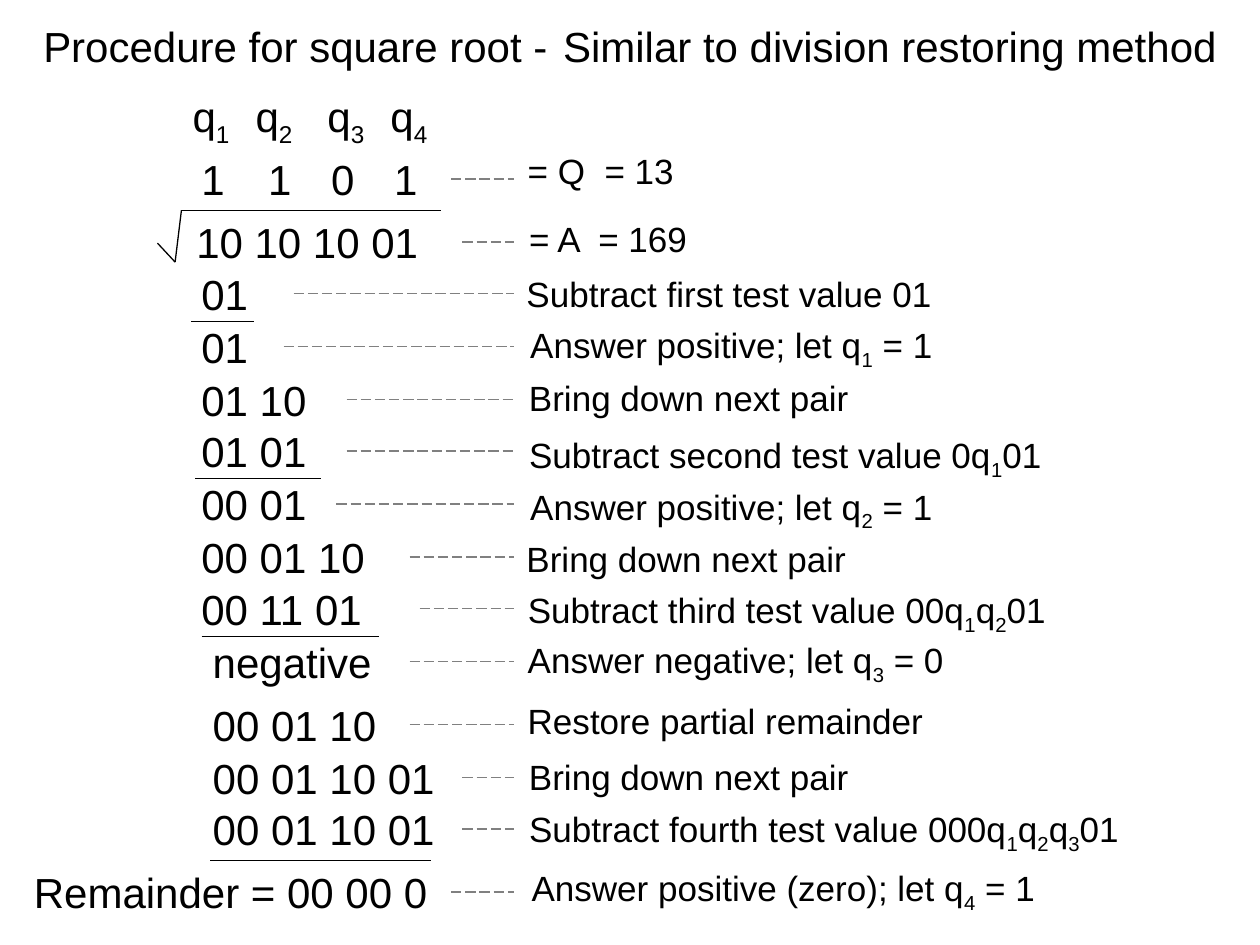
from itertools import pairwise

from lxml import etree
from pptx import Presentation
from pptx import util as u
from pptx.dml.color import RGBColor
from pptx.enum import dml, shapes, text
from pptx.oxml.ns import qn

LEADER_END = 4.08


def colour(value):
    return RGBColor.from_string(value)


def add_span(para, words, size=24, ink="000000", font="Arial", subscript=False):
    span = para.add_run()
    span.text = words
    span.font.size = u.Pt(size)
    span.font.name = font
    span.font.color.rgb = colour(ink)
    if subscript:
        span.font._element.set("baseline", "-25000")


def add_marked_text(para, words, **style):
    """Write words in which an underscore lowers the next character."""
    head, *rest = words.split("_")
    add_span(para, head, **style)
    for part in rest:
        add_span(para, part[0], subscript=True, **style)
        if part[1:]:
            add_span(para, part[1:], **style)


def add_tab_stop(para, position):
    stops = etree.SubElement(para._p.get_or_add_pPr(), qn("a:tabLst"))
    etree.SubElement(stops, qn("a:tab"), pos=str(u.Inches(position)), algn="l")


class Board:
    ink = "000000"
    leader_ink = "808080"
    number_size = 24
    note_size = 20

    def __init__(self, page):
        self.page = page

    def title(self, spans):
        box = self.page.shapes.add_textbox(
            u.Inches(0), u.Inches(-0.03), u.Inches(10), u.Inches(0.7))
        frame = box.text_frame
        frame.word_wrap = True
        frame.vertical_anchor = text.MSO_ANCHOR.MIDDLE
        para = frame.paragraphs[0]
        para.alignment = text.PP_ALIGN.CENTER
        for words, size in spans:
            add_span(para, words, size=size, ink=self.ink)

    def label(self, words, left, top, width, size, tab=None):
        height = {24: 0.5, 20: 0.44}[size]
        if "_" in words:
            height = {24: 0.56, 20: 0.48}[size]
        box = self.page.shapes.add_textbox(
            u.Inches(left), u.Inches(top), u.Inches(width), u.Inches(height))
        frame = box.text_frame
        frame.word_wrap = False
        frame.auto_size = text.MSO_AUTO_SIZE.SHAPE_TO_FIT_TEXT
        para = frame.paragraphs[0]
        if tab:
            add_tab_stop(para, tab)
        add_marked_text(para, words, size=size, ink=self.ink)

    def number(self, words, left, top, width):
        self.label(words, left, top, width, self.number_size)

    def note(self, words, left, top, width, tab=None):
        self.label(words, left, top, width, self.note_size, tab)

    def line(self, start, end, ink=None, dash=None, parent=None):
        holder = parent or self.page
        rule = holder.shapes.add_connector(
            shapes.MSO_CONNECTOR.STRAIGHT,
            *(u.Inches(value) for value in (*start, *end)))
        rule.line.color.rgb = colour(ink or self.ink)
        rule.line.width = u.Pt(0.75)
        if dash:
            rule.line.dash_style = dash
        etree.SubElement(rule._element.spPr, qn("a:effectLst"))

    def leader(self, left, y):
        self.line((left, y), (LEADER_END, y), self.leader_ink,
                  dml.MSO_LINE.LONG_DASH)

    def root_sign(self, points):
        group = self.page.shapes.add_group_shape()
        for start, end in pairwise(points):
            self.line(start, end, parent=group)


# Quotient digits: name, name left, digit, digit left
QUOTIENT = [
    ("q_1", 1.43, "1", 1.5),
    ("q_2", 1.93, "1", 2.03),
    ("q_3", 2.5, "0", 2.53),
    ("q_4", 3, "1", 3.03),
]

# Working steps: number, left, top, width, leader left
NUMBERS = [
    ("10 10 10 01", 1.46, 1.67, 1.96, 3.67),
    ("01", 1.5, 2.08, 0.57, 2.33),
    ("01", 1.5, 2.5, 0.57, 2.25),
    ("01 10", 1.5, 2.92, 1.05, 2.75),
    ("01 01", 1.5, 3.33, 1.05, 2.75),
    ("00 01", 1.5, 3.75, 1.05, 2.67),
    ("00 01 10", 1.5, 4.17, 1.5, 3.25),
    ("00 11 01", 1.5, 4.58, 1.5, 3.33),
    ("negative", 1.59, 5, 1.46, 3.25),
    ("00 01 10", 1.59, 5.5, 1.5, 3.25),
    ("00 01 10 01", 1.59, 5.92, 1.96, 3.67),
    ("00 01 10 01", 1.59, 6.33, 1.96, 3.67),
    ("Remainder = 00 00 0", 0.17, 6.83, 3.32, 3.58),
]

# Explanations: words, left, top, width, optional tab stop
NOTES = [
    ("= Q\t= 13", 4.09, 1.14, 1.36, 0.61),
    ("= A\t= 169", 4.1, 1.68, 1.48, 0.55),
    ("Subtract first test value 01", 4.08, 2.11, 3.42),
    ("Answer positive; let q_1 = 1", 4.11, 2.52, 3.39),
    ("Bring down next pair", 4.1, 2.94, 2.74),
    ("Subtract second test value 0q_101", 4.1, 3.39, 4.28),
    ("Answer positive; let q_2 = 1", 4.11, 3.8, 3.39),
    ("Bring down next pair", 4.08, 4.22, 2.74),
    ("Subtract third test value 00q_1q_201", 4.09, 4.62, 4.31),
    ("Answer negative; let q_3 = 0", 4.09, 5.02, 3.5),
    ("Restore partial remainder", 4.09, 5.5, 3.34),
    ("Bring down next pair", 4.1, 5.95, 2.74),
    ("Subtract fourth test value 000q_1q_2q_301", 4.1, 6.36, 4.88),
    ("Answer positive (zero); let q_4 = 1", 4.12, 6.83, 4.21),
]

# Subtraction rules: left, right, y
RULES = [(1.52, 2.02, 2.55), (1.55, 2.55, 3.8), (1.6, 3.01, 5.05),
         (1.67, 3.42, 6.83)]


def main():
    deck = Presentation()
    deck.slide_width, deck.slide_height = u.Inches(10), u.Inches(7.5)
    board = Board(deck.slides.add_slide(deck.slide_layouts[6]))

    # Heading
    board.title([("Procedure for square root -", 24), (" ", 32),
                 ("Similar to division restoring method", 24)])

    # Root sign and quotient above it
    board.root_sign([(1.25, 1.93), (1.39, 2.08), (1.44, 1.67), (3.5, 1.67)])
    for name, name_left, digit, digit_left in QUOTIENT:
        board.number(name, name_left, 0.67, 0.49)
        board.number(digit, digit_left, 1.17, 0.38)
    board.leader(3.58, 1.42)

    # Working, each row with a leader at its middle
    for words, left, top, width, leader_left in NUMBERS:
        board.number(words, left, top, width)
        board.leader(leader_left, top + 0.25)
    for left, right, y in RULES:
        board.line((left, y), (right, y))

    # Explanations
    for entry in NOTES:
        board.note(*entry)

    deck.save("out.pptx")


if __name__ == "__main__":
    main()
